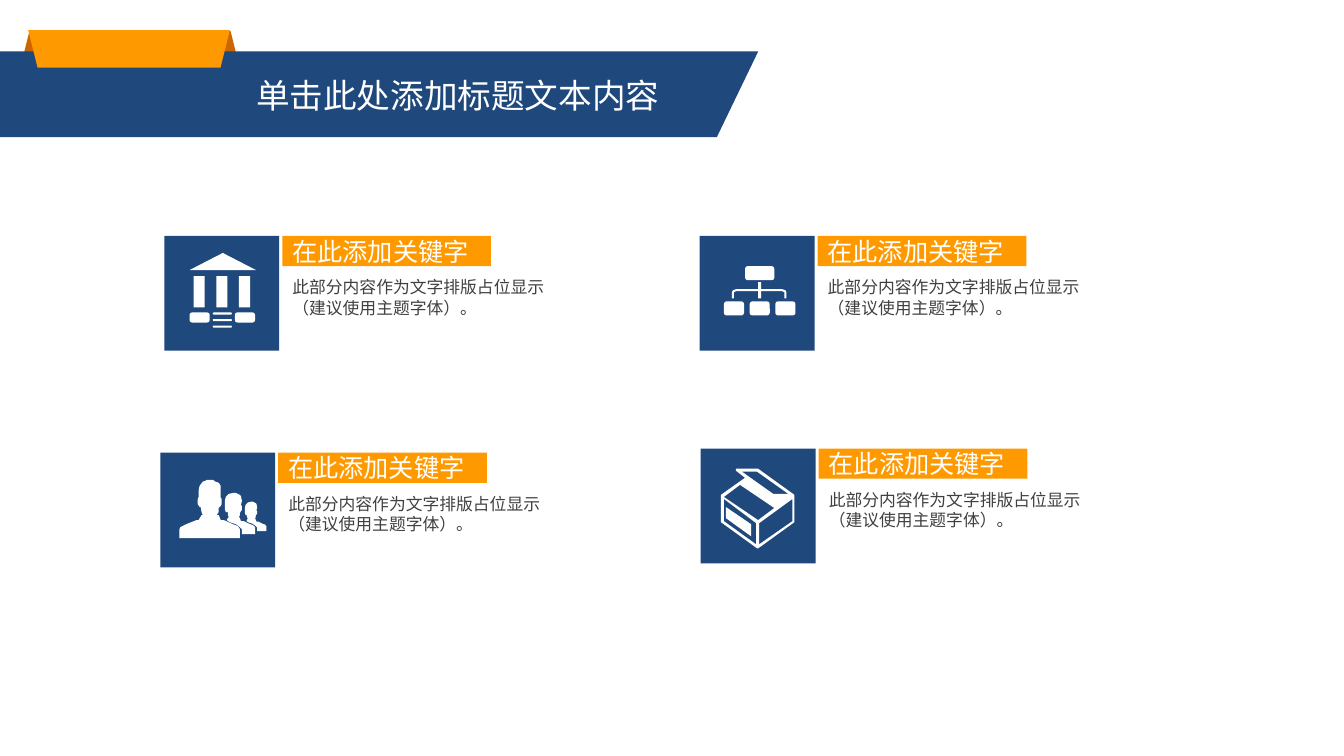
from pptx import Presentation
from pptx.dml.color import RGBColor
from pptx.enum.shapes import MSO_SHAPE as Shape
from pptx.enum.text import MSO_ANCHOR as Anchor, MSO_AUTO_SIZE as AutoSize, PP_ALIGN as Align
from pptx.util import Inches, Pt

NAVY = RGBColor(0x1F, 0x48, 0x7C)
ORANGE = RGBColor(0xFF, 0x99, 0x00)
DARK_ORANGE = RGBColor(0xCC, 0x66, 0x00)
WHITE = RGBColor(0xFF, 0xFF, 0xFF)
GREY = RGBColor(0x40, 0x40, 0x40)
FONT = "Arial"
TILE = 1.14

# Outlines in hundredths of an inch
ROOF = [[(0, 17), (66, 17), (33, 0)]]
BRANCHES = [[
    (0, 16), (0, 10), (1, 8), (4, 7), (26, 7), (26, 0), (29, 0), (29, 7), (50, 7),
    (53, 8), (54, 10), (54, 16), (52, 16), (52, 10), (50, 9), (29, 9), (29, 16),
    (26, 16), (26, 9), (4, 9), (2, 10), (2, 16)]]
FRONT_PERSON = [[
    (53, 45), (44, 41), (41, 41), (39, 36), (37, 36), (39, 33), (39, 29), (41, 27),
    (42, 25), (42, 20), (41, 19), (41, 7), (39, 4), (36, 3), (33, 1), (28, 1),
    (23, 3), (20, 7), (19, 12), (19, 18), (18, 21), (18, 25), (20, 28), (21, 28),
    (22, 33), (23, 36), (22, 36), (19, 41), (17, 41), (7, 45), (1, 48), (0, 50),
    (0, 59), (60, 59), (60, 50), (58, 47)]]
REAR_PERSON = [[
    (25, 32), (19, 29), (16, 29), (15, 26), (14, 25), (15, 23), (15, 21), (16, 19),
    (17, 18), (17, 14), (16, 13), (17, 9), (16, 4), (15, 3), (13, 2), (11, 1),
    (8, 1), (4, 2), (1, 5), (0, 9), (0, 17), (1, 20), (3, 20), (3, 23), (4, 25),
    (3, 26), (2, 28), (5, 30), (11, 32), (15, 35), (17, 37), (17, 42), (30, 42),
    (30, 35), (28, 33)]]
CARTON = [
    [(73, 26), (37, 0), (15, 0), (15, 2), (24, 9), (0, 26), (0, 53), (36, 79),
     (37, 79), (73, 53)],
    [(21, 3), (36, 3), (67, 25), (52, 25)],
    [(35, 75), (3, 52), (3, 30), (35, 54)],
    [(37, 51), (3, 28), (19, 16), (53, 39)],
    [(71, 52), (38, 75), (38, 54), (71, 30)],
    [(30, 55), (5, 38), (5, 49), (30, 67)]]


def paint(shape, color):
    shape.shadow.inherit = False
    shape.fill.solid()
    shape.fill.fore_color.rgb = color
    shape.line.fill.background()


def add_block(shapes, kind, left, top, width, height, color, rounding=None):
    block = shapes.add_shape(kind, Inches(left), Inches(top), Inches(width), Inches(height))
    paint(block, color)
    if rounding is not None:
        block.adjustments[0] = rounding
    return block


def add_outline(shapes, contours, left, top, color, scale=1):
    """Draw closed contours in one shape, with inner contours as holes."""
    builder = None
    for contour in contours:
        start, *rest = [(Inches(left + x * scale / 100), Inches(top + y * scale / 100))
                        for x, y in contour]
        if builder is None:
            builder = shapes.build_freeform(*start, scale=1.0)
        else:
            builder.move_to(*start)
        builder.add_line_segments(rest, close=True)
    paint(builder.convert_to_shape(), color)


def write(paragraph, text, size, color):
    paragraph.alignment = Align.LEFT
    run = paragraph.add_run()
    run.text = text
    run.font.name = FONT
    run.font.size = Pt(size)
    run.font.color.rgb = color


def set_frame(frame, wrap):
    frame.word_wrap = wrap
    frame.auto_size = AutoSize.SHAPE_TO_FIT_TEXT
    frame.vertical_anchor = Anchor.TOP
    frame.margin_left = frame.margin_right = Inches(0.13)
    frame.margin_top = frame.margin_bottom = Inches(0.07)


def title_banner(slide, left, top):
    shapes = slide.shapes
    # Ribbon folds, banner, ribbon front
    add_block(shapes, Shape.TRAPEZOID, left + 0.16, top + 0.01, 2.26, 0.53, DARK_ORANGE)
    add_outline(shapes, [[(0, 0), (752, 0), (711, 85), (0, 85)]], left, top + 0.21, NAVY)
    ribbon = add_block(shapes, Shape.TRAPEZOID, left + 0.28, top, 2, 0.37, ORANGE)
    ribbon.rotation = 180
    # Title, brought in front of the banner
    title = shapes.title
    title.left, title.top = Inches(left + 2.41), Inches(top + 0.37)
    title.width, title.height = Inches(4.31), Inches(0.54)
    set_frame(title.text_frame, wrap=False)
    write(title.text_frame.paragraphs[0], "单击此处添加标题文本内容", 24, WHITE)
    title.element.getparent().append(title.element)


def bank_icon(shapes, left, top):
    bank = shapes.add_group_shape().shapes
    add_outline(bank, ROOF, left + 0.25, top + 0.17, WHITE)
    for column in range(3):
        add_block(bank, Shape.RECTANGLE, left + 0.29 + 0.225 * column, top + 0.4,
                  0.11, 0.31, WHITE)
    for base_left in (0.25, 0.7):
        add_block(bank, Shape.ROUNDED_RECTANGLE, left + base_left, top + 0.76,
                  0.2, 0.1, WHITE, 0.25)
    for step in range(3):
        add_block(bank, Shape.ROUNDED_RECTANGLE, left + 0.48, top + 0.76 + 0.065 * step,
                  0.19, 0.02, WHITE, 0.5)


def hierarchy_icon(shapes, left, top):
    chart = shapes.add_group_shape().shapes
    add_block(chart, Shape.ROUNDED_RECTANGLE, left + 0.45, top + 0.3, 0.29, 0.14, WHITE, 0.2)
    for child in range(3):
        add_block(chart, Shape.ROUNDED_RECTANGLE, left + 0.24 + 0.255 * child, top + 0.65,
                  0.2, 0.14, WHITE, 0.2)
    add_outline(chart, BRANCHES, left + 0.32, top + 0.46, WHITE)


def people_icon(shapes, left, top):
    people = shapes.add_group_shape().shapes
    add_outline(people, FRONT_PERSON, left + 0.19, top + 0.26, WHITE)
    add_outline(people, REAR_PERSON, left + 0.64, top + 0.39, WHITE)
    add_outline(people, REAR_PERSON, left + 0.84, top + 0.48, WHITE, scale=0.71)


def carton_icon(shapes, left, top):
    add_outline(shapes, CARTON, left + 0.2, top + 0.2, WHITE)


def keyword_card(slide, left, top, draw_icon):
    shapes = slide.shapes
    # Icon tile
    add_block(shapes, Shape.RECTANGLE, left, top, TILE, TILE, NAVY)
    draw_icon(shapes, left, top)
    # Keyword label
    keyword = add_block(shapes, Shape.RECTANGLE, left + 1.17, top, 2.07, 0.3, ORANGE)
    keyword.text_frame.vertical_anchor = Anchor.MIDDLE
    write(keyword.text_frame.paragraphs[0], "在此添加关键字", 18, WHITE)
    # Description
    description = shapes.add_textbox(Inches(left + 1.14), Inches(top + 0.34),
                                     Inches(3.46), Inches(0.54)).text_frame
    set_frame(description, wrap=True)
    write(description.paragraphs[0], "此部分内容作为文字排版占位显示", 12, GREY)
    write(description.add_paragraph(), "（建议使用主题字体）。", 12, GREY)


def main():
    deck = Presentation()
    deck.slide_width, deck.slide_height = Inches(13.33), Inches(7.5)
    slide = deck.slides.add_slide(deck.slide_layouts[5])
    title_banner(slide, 0, 0.3)
    for left, top, draw_icon in (
            (1.63, 2.34, bank_icon), (6.94, 2.34, hierarchy_icon),
            (1.59, 4.49, people_icon), (6.95, 4.45, carton_icon)):
        keyword_card(slide, left, top, draw_icon)
    deck.save("out.pptx")


if __name__ == "__main__":
    main()
